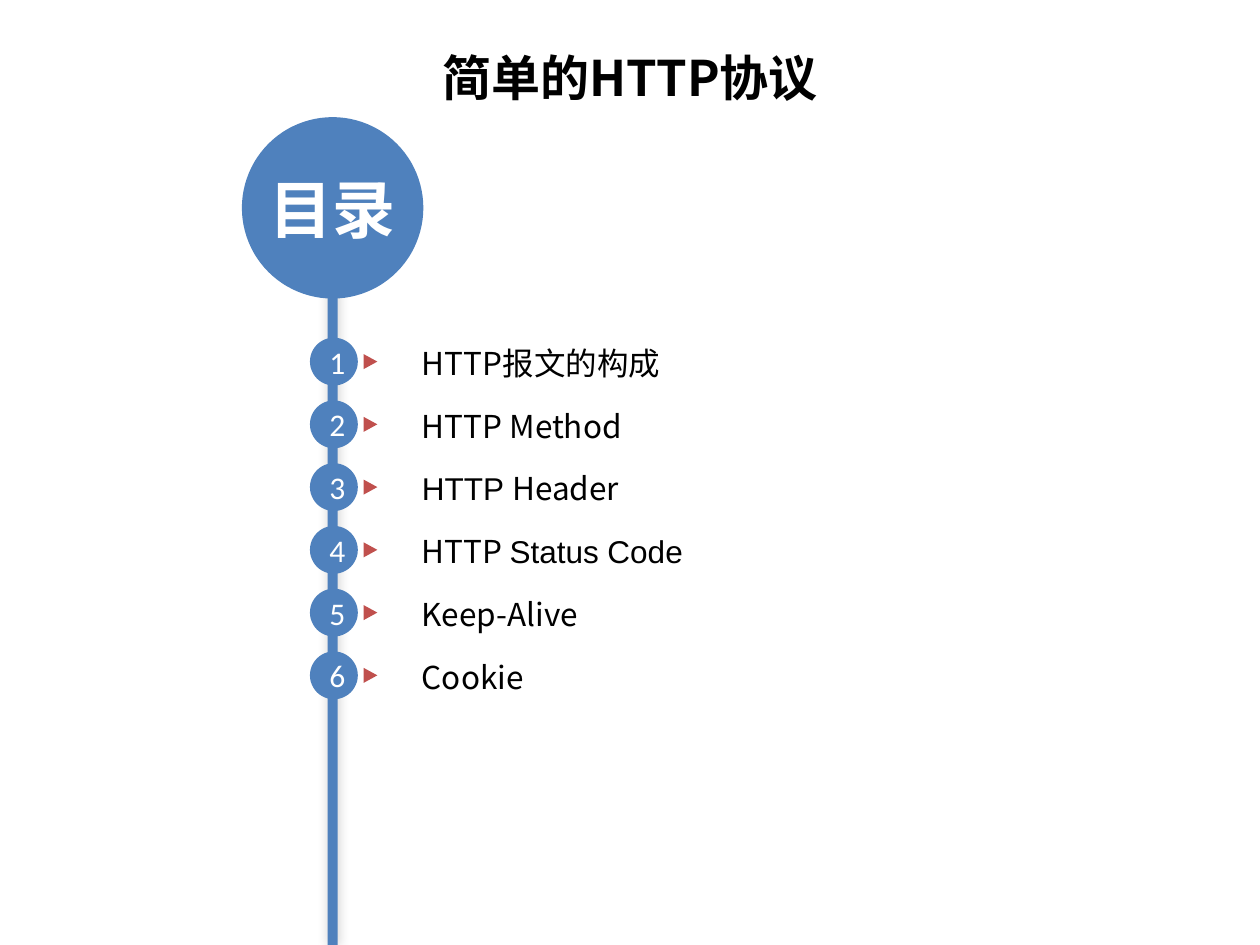
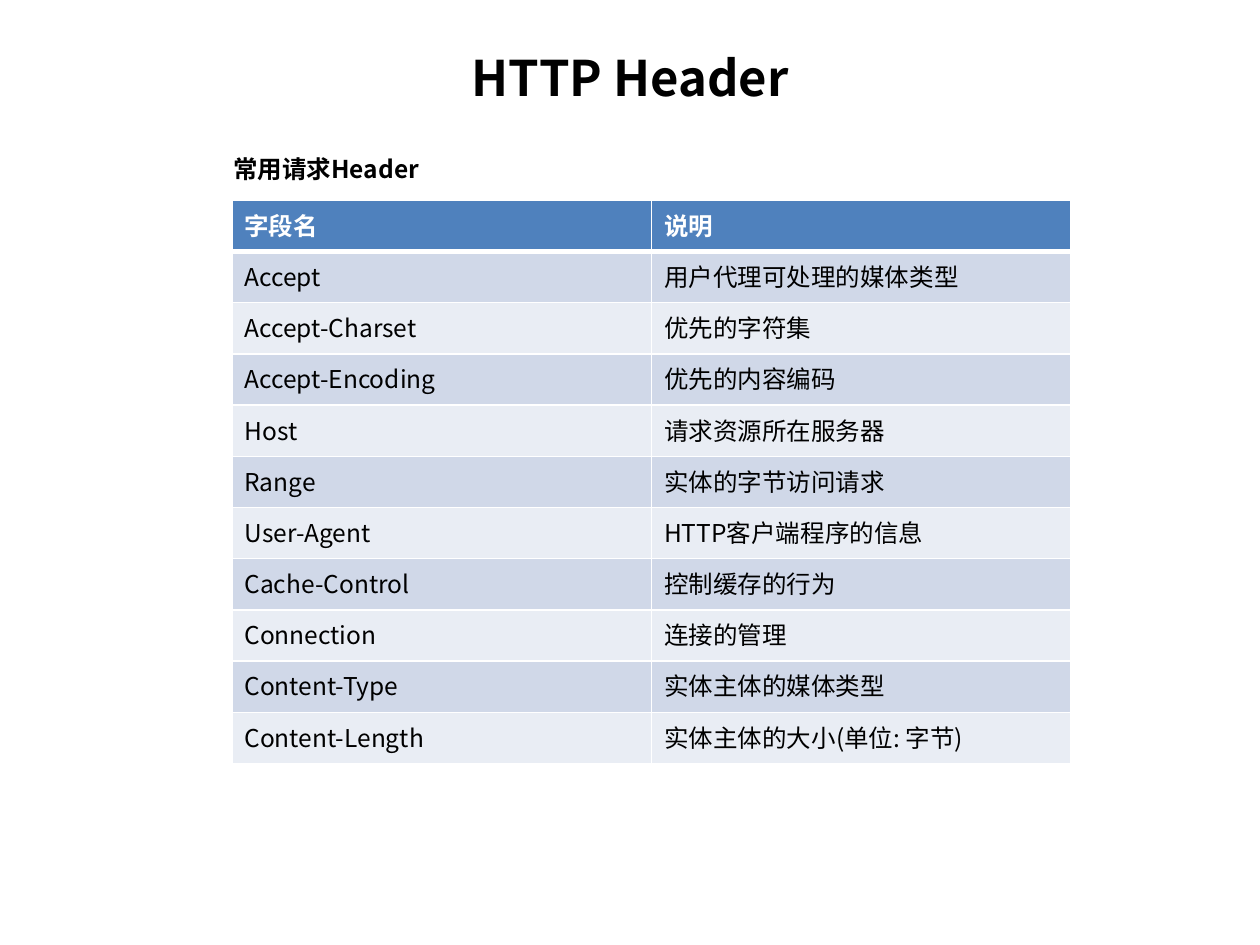
import lxml.etree
import pptx
import pptx.dml.color
import pptx.enum.shapes
import pptx.enum.text
import pptx.oxml.ns
import pptx.util

# Shared style
BLUE, RED, BLACK, WHITE = "4F81BD", "C0504D", "000000", "FFFFFF"
BANDS = ("D0D8E8", "E9EDF4")
HAN, SANS, DIGIT = "Noto Sans CJK SC", "Arial", "Calibri"
COLS = 100  # grid columns across the slide; rows have the same pitch
SHAPE = pptx.enum.shapes.MSO_SHAPE
ALIGN = pptx.enum.text.PP_ALIGN
MIDDLE = pptx.enum.text.MSO_ANCHOR.MIDDLE

# Contents entries: runs of text and font
TOPICS = [
    [("HTTP报文的构成", HAN)],
    [("HTTP Method", HAN)],
    [("HTTP ", SANS), ("Header", HAN)],
    [("HTTP ", HAN), ("Status Code", SANS)],
    [("Keep-Alive", HAN)],
    [("Cookie", HAN)],
]
FIELDS = [
    ("字段名", "说明"),
    ("Accept", "用户代理可处理的媒体类型"),
    ("Accept-Charset", "优先的字符集"),
    ("Accept-Encoding", "优先的内容编码"),
    ("Host", "请求资源所在服务器"),
    ("Range", "实体的字节访问请求"),
    ("User-Agent", "HTTP客户端程序的信息"),
    ("Cache-Control", "控制缓存的行为"),
    ("Connection", "连接的管理"),
    ("Content-Type", "实体主体的媒体类型"),
    ("Content-Length", "实体主体的大小(单位: 字节)"),
]


def color(code):
    return pptx.dml.color.RGBColor.from_string(code)


def node(up, tag, **attrs):
    """Add a drawing element under another one."""
    item = lxml.etree.SubElement(up, pptx.oxml.ns.qn("a:" + tag))
    for key, val in attrs.items():
        item.set(key, str(val))
    return item


class Deck:
    def __init__(self):
        self.show = pptx.Presentation()
        self.show.slide_width = pptx.util.Inches(10)
        self.show.slide_height = pptx.util.Inches(7.5)
        self.slide = None

    def grid(self, *units):
        return [round(u * self.show.slide_width / COLS) for u in units]

    def words(self, frame, runs, size, ink=BLACK, bold=False, align=ALIGN.LEFT):
        para = frame.paragraphs[0]
        para.alignment = align
        for text, face in runs:
            run = para.add_run()
            run.text = text
            form = {"name": face, "size": pptx.util.Pt(size), "bold": bold}
            for key, val in form.items():
                setattr(run.font, key, val)
            run.font.color.rgb = color(ink)
            node(run.font._element, "ea", typeface=HAN)

    def page(self, title):
        self.slide = self.show.slides.add_slide(self.show.slide_layouts[5])
        head = self.slide.shapes.title
        box = dict(zip(("left", "top", "width", "height"), self.grid(5, 3, 90, 6.2)))
        for key, val in box.items():
            setattr(head, key, val)
        head.text_frame.vertical_anchor = MIDDLE
        self.words(head.text_frame, [(title, HAN)], 28, bold=True, align=ALIGN.CENTER)

    def shape(self, kind, box, fill, turn=0):
        item = self.slide.shapes.add_shape(kind, *self.grid(*box))
        item.shadow.inherit = False
        item.fill.solid()
        item.fill.fore_color.rgb = color(fill)
        item.line.fill.background()
        item.rotation = turn
        return item

    def disc(self, box, text, size, face, bold=False, inset=None):
        frame = self.shape(SHAPE.OVAL, box, BLUE).text_frame
        frame.vertical_anchor = MIDDLE
        if inset is not None:
            for side in ("left", "top", "right", "bottom"):
                setattr(frame, "margin_" + side, inset)
        self.words(frame, [(text, face)], size, WHITE, bold, ALIGN.CENTER)

    def stem(self, box):
        bar = self.shape(SHAPE.RECTANGLE, box, BLUE)
        glow = bar._element.spPr.find(pptx.oxml.ns.qn("a:effectLst"))
        cast = node(glow, "outerShdw", blurRad=pptx.util.Pt(6), dist=0, dir=225 * 60000)
        node(node(cast, "srgbClr", val=BLACK), "alpha", val=20000)

    def label(self, box, runs, size, bold=False, indent=1):
        frame = self.slide.shapes.add_textbox(*self.grid(*box)).text_frame
        frame.word_wrap = True
        frame.margin_left = self.grid(indent)[0]
        self.words(frame, runs, size, bold=bold)

    def edge(self, cell, top, base):
        props = cell._tc.get_or_add_tcPr()
        sides = (("lnL", 1), ("lnR", 1), ("lnT", top), ("lnB", base))
        for spot, (tag, wide) in enumerate(sides):
            line = node(props, tag, w=pptx.util.Pt(wide))
            node(node(line, "solidFill"), "srgbClr", val=WHITE)
            props.insert(spot, line)

    def table(self, box, data):
        table = self.slide.shapes.add_table(len(data), len(data[0]), *self.grid(*box)).table
        table.horz_banding = False
        for r, texts in enumerate(data):
            head = r == 0
            for c, text in enumerate(texts):
                cell = table.cell(r, c)
                cell.fill.solid()
                cell.fill.fore_color.rgb = color(BLUE if head else BANDS[(r - 1) % 2])
                self.edge(cell, 3 if r == 1 else 1, 3 if head else 1)
                self.words(cell.text_frame, [(text, HAN)], 14, WHITE if head else BLACK, head)


def main():
    deck = Deck()

    # Contents: a stem with numbered discs
    deck.page("简单的HTTP协议")
    deck.stem((26, 10.4, 0.8, 64.6))
    deck.disc((19.2, 9.3, 14.4, 14.4), "目录", 36, HAN, bold=True, inset=0)
    for i, runs in enumerate(TOPICS):
        top = 26.8 + 4.98 * i
        deck.disc((24.6, top, 3.8, 3.8), str(i + 1), 18, DIGIT)
        deck.shape(SHAPE.ISOSCELES_TRIANGLE, (28.8, top + 1.35, 1.2, 1.1), RED, 90)
        deck.label((32.5, top, 29.8, 4), runs, 18)

    # Request header fields
    deck.page("HTTP Header")
    deck.label((12.5, 11.7, 22.5, 3.4), [("常用请求Header", HAN)], 14, True, indent=6)
    deck.table((18.4, 15.9, 66.6, 44.7), FIELDS)

    deck.show.save("out.pptx")


if __name__ == "__main__":
    main()
